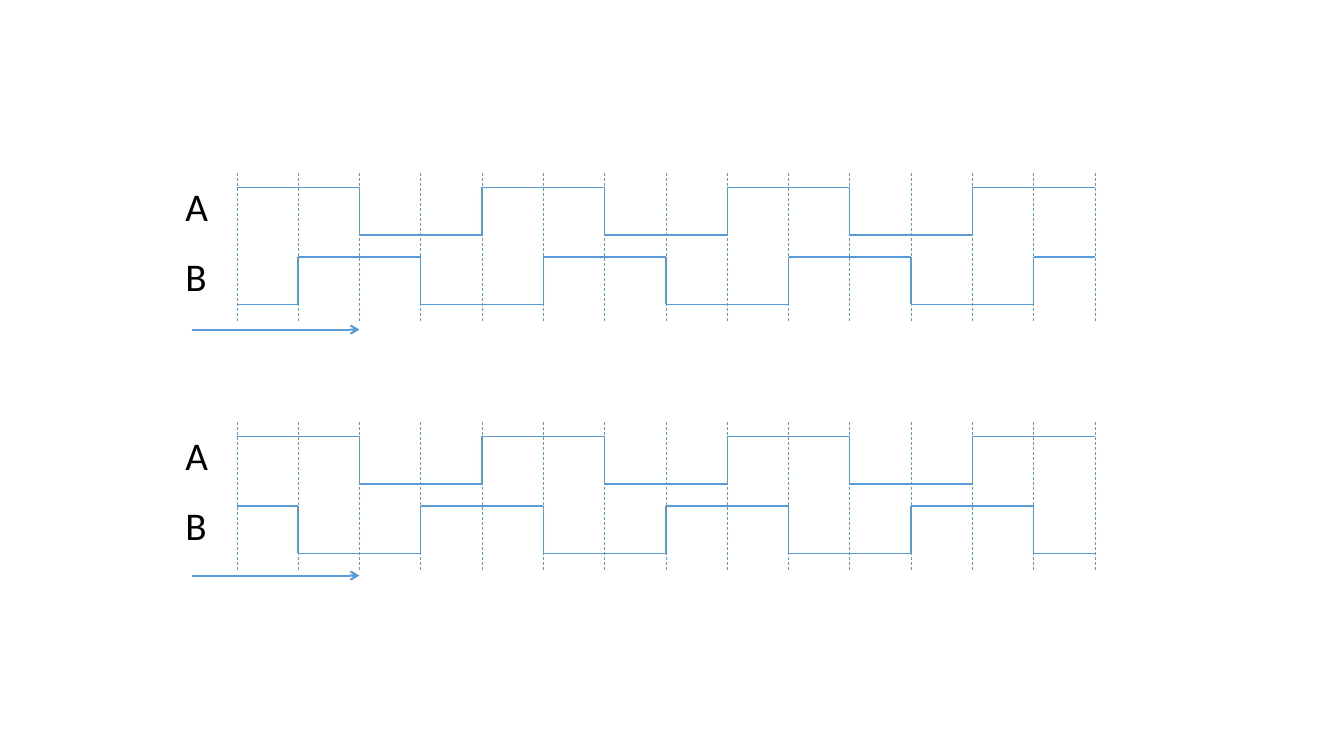
import itertools
from dataclasses import dataclass

import pptx
import pptx.dml.color
import pptx.enum.dml
import pptx.enum.shapes
import pptx.enum.text
import pptx.oxml
import pptx.oxml.ns
import pptx.util
from pptx.util import Inches


@dataclass(frozen=True)
class Theme:
    blue: str = "5B9BD5"
    ink: str = "000000"
    font: str = "Calibri"
    label: float = 28
    grid: float = 0.5
    wave: float = 1
    arrow: float = 1.5


@dataclass(frozen=True)
class Box:
    left: float
    top: float
    width: float
    height: float


THEME = Theme()
STEPS = 14
INSET = 0.61  # room for the labels, left of the grid
SWING = 0.47  # height of a pulse


def draw_line(slide, start, end, weight):
    line = slide.shapes.add_connector(
        pptx.enum.shapes.MSO_CONNECTOR.STRAIGHT,
        *(Inches(value) for value in (*start, *end)))
    line.line.color.rgb = pptx.dml.color.RGBColor.from_string(THEME.blue)
    line.line.width = pptx.util.Pt(weight)
    props = line._element.spPr
    props.append(pptx.oxml.parse_xml(
        "<a:effectLst %s/>" % pptx.oxml.ns.nsdecls("a")))
    return line


def add_label(slide, box, text):
    shape = slide.shapes.add_textbox(
        Inches(box.left), Inches(box.top), Inches(box.width), Inches(box.height))
    frame = shape.text_frame
    frame.word_wrap = False
    frame.auto_size = pptx.enum.text.MSO_AUTO_SIZE.SHAPE_TO_FIT_TEXT
    frame.text = text
    font = frame.paragraphs[0].runs[0].font
    font.name = THEME.font
    font.size = pptx.util.Pt(THEME.label)
    font.color.rgb = pptx.dml.color.RGBColor.from_string(THEME.ink)


def draw_grid(slide, box):
    for index in range(STEPS + 1):
        x = box.left + index * box.width / STEPS
        line = draw_line(slide, (x, box.top), (x, box.top + box.height), THEME.grid)
        line.line.dash_style = pptx.enum.dml.MSO_LINE.DASH


def draw_wave(slide, box, shift):
    """Draw a square wave, four steps to a period, moved right by shift steps."""
    step = box.width / STEPS
    low = box.top + box.height
    for high, group in itertools.groupby(
            range(STEPS), key=lambda index: (index - shift) % 4 < 2):
        span = list(group)
        start = box.left + span[0] * step
        end = box.left + (span[-1] + 1) * step
        y = box.top if high else low
        draw_line(slide, (start, y), (end, y), THEME.wave)
        if span[0]:
            draw_line(slide, (start, box.top), (start, low), THEME.wave)


def draw_panel(slide, box, shift):
    """Draw signals A and B on a grid, with the time arrow along the bottom."""
    left, width = box.left + INSET, box.width - INSET
    draw_grid(slide, Box(left, box.top, width, 1.46))

    # Signals with their labels
    for name, drop, phase in (("A", 0.14, 0), ("B", 0.83, shift)):
        top = box.top + drop
        draw_wave(slide, Box(left, top, width, SWING), phase)
        add_label(slide, Box(box.left, top - 0.1, 0.43, 0.57), name)

    # Time arrow
    y = box.top + box.height
    arrow = draw_line(slide, (box.left + 0.16, y),
                      (left + 2 * width / STEPS, y), THEME.arrow)
    arrow.line._get_or_add_ln().append(pptx.oxml.parse_xml(
        '<a:tailEnd type="arrow" %s/>' % pptx.oxml.ns.nsdecls("a")))


def main():
    deck = pptx.Presentation()
    deck.slide_width, deck.slide_height = Inches(13.33), Inches(7.5)
    slide = deck.slides.add_slide(deck.slide_layouts[6])

    # B trails A above and leads it below
    draw_panel(slide, Box(1.74, 1.72, 9.12, 1.55), 1)
    draw_panel(slide, Box(1.74, 4.19, 9.12, 1.52), -1)
    deck.save("out.pptx")


if __name__ == "__main__":
    main()
